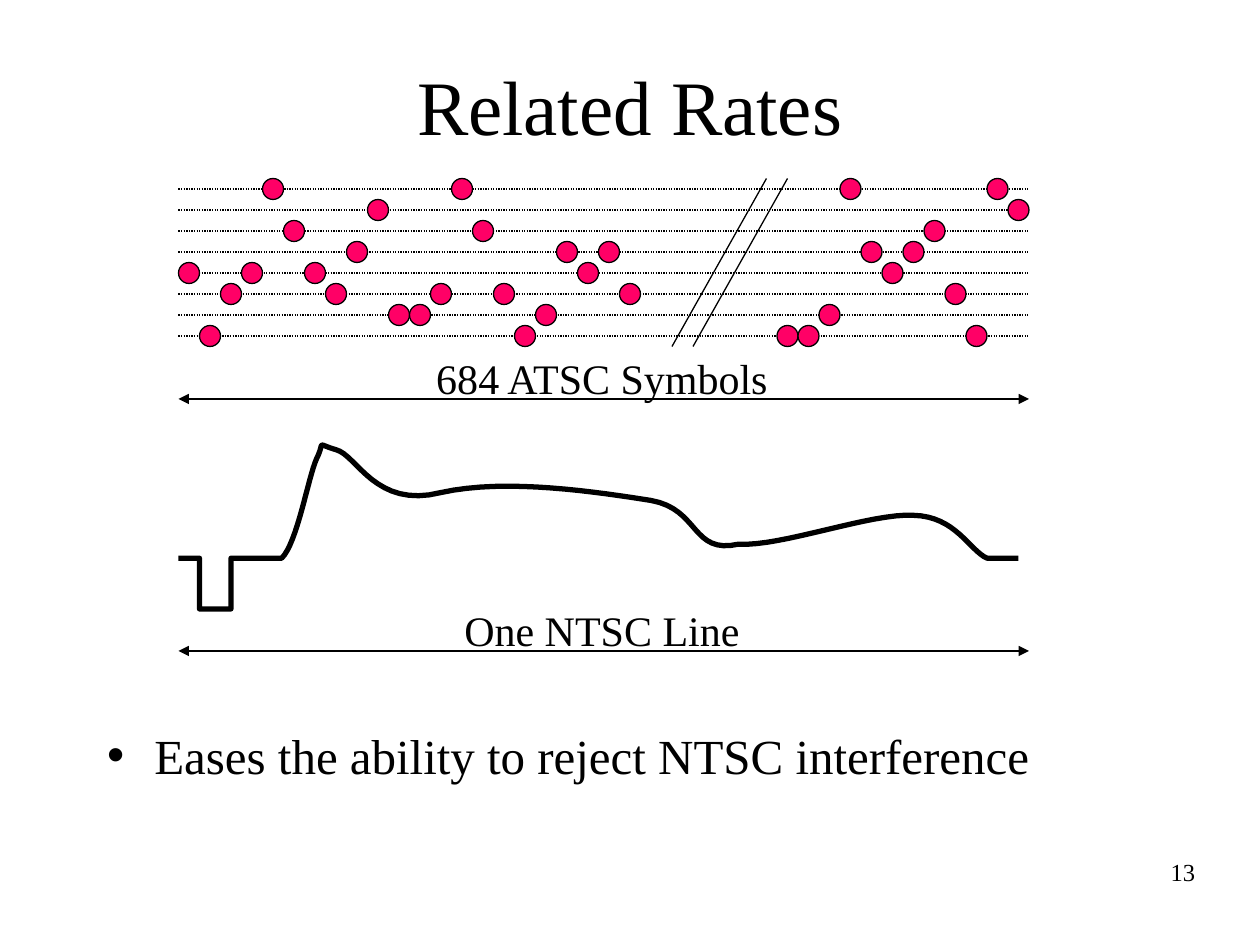
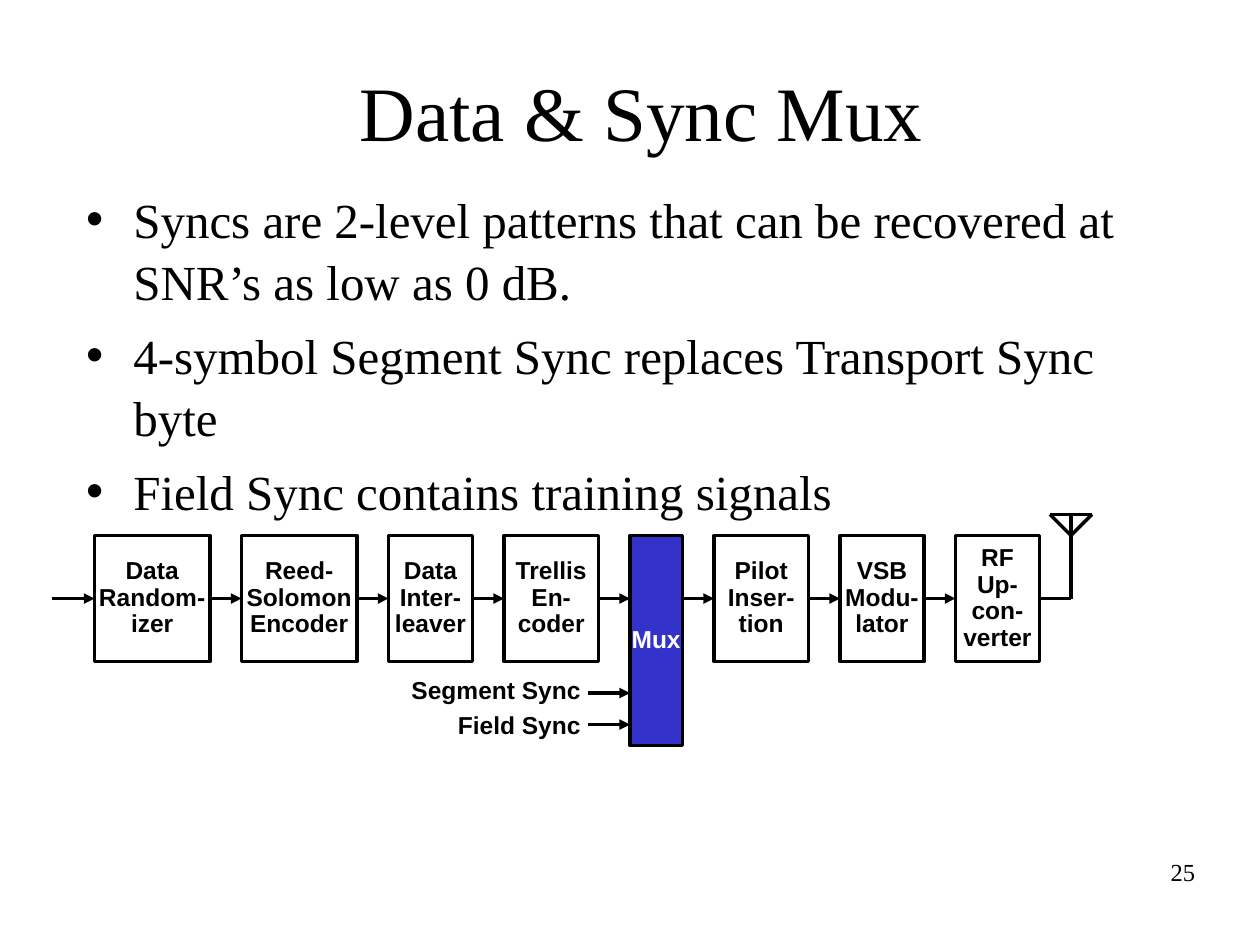
import pptx
import pptx.util
import pptx.dml.color
import pptx.enum.dml
import pptx.enum.shapes
import pptx.enum.text
import pptx.oxml

Pt = pptx.util.Pt
RGBColor = pptx.dml.color.RGBColor
PP_ALIGN = pptx.enum.text.PP_ALIGN
ANCHOR = pptx.enum.text.MSO_ANCHOR
SHAPE = pptx.enum.shapes.MSO_SHAPE

# Shared look
BLACK = RGBColor(0x00, 0x00, 0x00)
WHITE = RGBColor(0xFF, 0xFF, 0xFF)
PINK = RGBColor(0xFF, 0x00, 0x66)
BLUE = RGBColor(0x33, 0x33, 0xCC)
SERIF, SANS = "Times New Roman", "Arial"
NS = 'xmlns:a="http://schemas.openxmlformats.org/drawingml/2006/main"'
THIN, MEDIUM, THICK = 0.75, 2, 3

# Symbol diagram: level of each dot before and after the break
STEP = 12
LEVELS = 8
DOTS_BEFORE = [4, 7, 5, 4, 0, 2, 4, 5, 3, 1, 6, 6, 5, 0, 2, 5, 7, 6, 3, 4, 3, 5]
DOTS_AFTER = [7, 7, 6, 0, 3, 4, 3, 2, 5, 7, 0, 1]
AFTER_COLUMN = 28.5

# Video line: straight start, then curves (control, control, end)
SYNC_PULSE = [(0, 67), (12, 67), (12, 96), (30, 96), (30, 67), (59, 67)]
VIDEO_CURVES = [
    [(68, 58), (74, 21), (79, 10)],
    [(84, 0), (78, 1.5), (90, 5)],
    [(102, 8), (112.5, 39), (150, 29.5)],
    [(187.5, 21), (241, 29.5), (270, 34)],
    [(298, 39), (293, 65), (320, 59)],
    [(344.5, 60.5), (396, 41), (420, 42.5)],
    [(444, 43), (452, 62.5), (462, 67)],
]
LINE_END = (480, 67)

# Transmitter chain: text, width
BLOCK_GAP = 18
BLOCK_HEIGHT = 72
MUX = "Mux"
BLOCKS = [
    ("Data\nRandom-\nizer", 66), ("Reed-\nSolomon\nEncoder", 66),
    ("Data\nInter-\nleaver", 48), ("Trellis\nEn-\ncoder", 54), (MUX, 30),
    ("Pilot\nInser-\ntion", 54), ("VSB\nModu-\nlator", 48),
    ("RF\nUp-\ncon-\nverter", 48),
]


def place(sp, x, y, w, h):
    sp.left, sp.top, sp.width, sp.height = Pt(x), Pt(y), Pt(w), Pt(h)


def format_text(tf, size, font=SERIF, color=BLACK, bold=False,
                align=None, spacing=None, before=0):
    for i, p in enumerate(tf.paragraphs):
        p.alignment = align
        p.line_spacing = spacing
        p.space_before = Pt(before if i else 0)
        for r in p.runs:
            r.font.size, r.font.name, r.font.bold = Pt(size), font, bold
            r.font.color.rgb = color


def add_text(s, text, x, y, w, h, size, wrap=True, anchor=ANCHOR.TOP, **style):
    tf = s.shapes.add_textbox(Pt(x), Pt(y), Pt(w), Pt(h)).text_frame
    tf.word_wrap, tf.vertical_anchor = wrap, anchor
    tf.text = text
    format_text(tf, size, **style)


def add_line(s, x1, y1, x2, y2, width, ends=()):
    """Draw a line; ends lists headEnd and/or tailEnd."""
    cx = s.shapes.add_connector(pptx.enum.shapes.MSO_CONNECTOR.STRAIGHT,
                                Pt(x1), Pt(y1), Pt(x2), Pt(y2))
    cx.line.color.rgb, cx.line.width = BLACK, Pt(width)
    sp_pr = cx._element.spPr
    for end in ends:
        sp_pr.find(pptx.oxml.ns.qn("a:ln")).append(
            pptx.oxml.parse_xml(f'<a:{end} {NS} type="triangle"/>'))
    sp_pr.append(pptx.oxml.parse_xml(f"<a:effectLst {NS}/>"))
    return cx


def add_shape(s, kind, x, y, w, h, fill, width):
    sp = s.shapes.add_shape(kind, Pt(x), Pt(y), Pt(w), Pt(h))
    sp.shadow.inherit = False
    sp.fill.solid()
    sp.fill.fore_color.rgb = fill
    sp.line.color.rgb, sp.line.width = BLACK, Pt(width)
    return sp


def add_base(prs, title, title_box, bullets, body_box, number):
    """Add a slide with title, bullets and page number."""
    s = prs.slides.add_slide(prs.slide_layouts[1])
    body = s.placeholders[1]
    place(s.shapes.title, *title_box)
    place(body, *body_box)
    tf = s.shapes.title.text_frame
    tf.text, tf.vertical_anchor = title, ANCHOR.MIDDLE
    format_text(tf, 44, align=PP_ALIGN.CENTER)
    tf = body.text_frame
    tf.text = "\n".join(bullets)
    tf.auto_size = pptx.enum.text.MSO_AUTO_SIZE.NONE
    format_text(tf, 28, spacing=1.05, before=7)
    add_text(s, number, 540, 486, 150, 36, 14, align=PP_ALIGN.RIGHT)
    return s


def add_span(s, text, x, y, w):
    """Double arrow with its label above."""
    add_line(s, x, y, x + w, y, THIN, ("headEnd", "tailEnd"))
    add_text(s, text, x, y - 30, w - 2, 36, 24, align=PP_ALIGN.CENTER)


def add_symbols(s, x, y, w):
    """Level lines, break marks and symbol dots."""
    for level in range(LEVELS):
        line_y = y + (level + 0.5) * STEP
        cx = add_line(s, x, line_y, x + w, line_y, THIN)
        cx.line.dash_style = pptx.enum.dml.MSO_LINE.ROUND_DOT
    for start, dots in ((0, DOTS_BEFORE), (AFTER_COLUMN, DOTS_AFTER)):
        for i, level in enumerate(dots):
            add_shape(s, SHAPE.OVAL, x + (start + i) * STEP, y + level * STEP,
                      STEP, STEP, PINK, THIN)
    for mark_x in (x + 282, x + 282 + STEP):
        add_line(s, mark_x + 54, y, mark_x, y + LEVELS * STEP, THIN)


def bezier(p0, p1, p2, p3, steps=16):
    for i in range(1, steps + 1):
        t = i / steps
        u = 1 - t
        yield tuple(u**3 * a + 3 * u * u * t * b + 3 * u * t * t * c + t**3 * d
                    for a, b, c, d in zip(p0, p1, p2, p3))


def add_video_line(s, x, y):
    points = list(SYNC_PULSE)
    for curve in VIDEO_CURVES:
        points += bezier(points[-1], *curve)
    points.append(LINE_END)
    points = [(Pt(x + px), Pt(y + py)) for px, py in points]
    builder = s.shapes.build_freeform(*points[0])
    builder.add_line_segments(points[1:], close=False)
    sp = builder.convert_to_shape()
    sp.shadow.inherit = False
    sp.fill.background()
    sp.line.color.rgb, sp.line.width = BLACK, Pt(THICK)


def add_block(s, text, x, y, w):
    is_mux = text == MUX
    sp = add_shape(s, SHAPE.RECTANGLE, x, y, w, 120 if is_mux else BLOCK_HEIGHT,
                   BLUE if is_mux else WHITE, MEDIUM)
    tf = sp.text_frame
    tf.text, tf.word_wrap, tf.vertical_anchor = text, False, ANCHOR.MIDDLE
    format_text(tf, 14, SANS, WHITE if is_mux else BLACK, True,
                PP_ALIGN.CENTER, 0.9)


def add_antenna(s, x, y, h):
    """Mast with a triangle on top; x is the mast."""
    half = 12
    add_line(s, x, y + h, x, y, MEDIUM)
    add_line(s, x - half, y, x + half, y, MEDIUM)
    for side in (-half, half):
        add_line(s, x + side, y, x, y + half, MEDIUM)


def add_chain(s, x, y):
    """Blocks in a row joined by arrows, ending in the antenna."""
    mid = y + BLOCK_HEIGHT / 2
    arrow_from = x - 24
    for text, w in BLOCKS:
        add_block(s, text, x, y, w)
        add_line(s, arrow_from, mid, x, mid, MEDIUM, ("tailEnd",))
        if text == MUX:
            for sync_y in (y + 90, y + 108):
                add_line(s, x - 24, sync_y, x, sync_y, MEDIUM, ("tailEnd",))
            add_text(s, "Segment Sync\nField Sync", x - 132, y + 78, 111, 42, 14,
                     wrap=False, anchor=ANCHOR.MIDDLE, font=SANS, bold=True,
                     align=PP_ALIGN.RIGHT, spacing=0.9, before=5)
        arrow_from = x + w
        x = arrow_from + BLOCK_GAP
    add_line(s, arrow_from, mid, x, mid, MEDIUM)
    add_antenna(s, x, y - 12, mid - y + 12)


def build_related_rates(prs):
    s = add_base(prs, "Related Rates", (54, 30, 612, 60),
                 ["Eases the ability to reject NTSC interference"],
                 (54, 409, 612, 53), "13")
    left, width = 102, 486
    add_video_line(s, left, 252)
    add_span(s, "One NTSC Line", left, 372, width)
    add_symbols(s, left, 102, width)
    add_span(s, "684 ATSC Symbols", left, 228, width)


def build_sync_mux(prs):
    s = add_base(prs, "Data & Sync Mux", (30, 18, 673, 90),
                 ["Syncs are 2-level patterns that can be recovered at SNR’s as low as 0 dB.",
                  "4-symbol Segment Sync replaces Transport Sync byte",
                  "Field Sync contains training signals"],
                 (42, 103, 630, 191), "25")
    add_chain(s, 54, 306)


def main():
    prs = pptx.Presentation()
    prs.slide_width, prs.slide_height = Pt(720), Pt(540)
    build_related_rates(prs)
    build_sync_mux(prs)
    prs.save("out.pptx")


if __name__ == "__main__":
    main()
